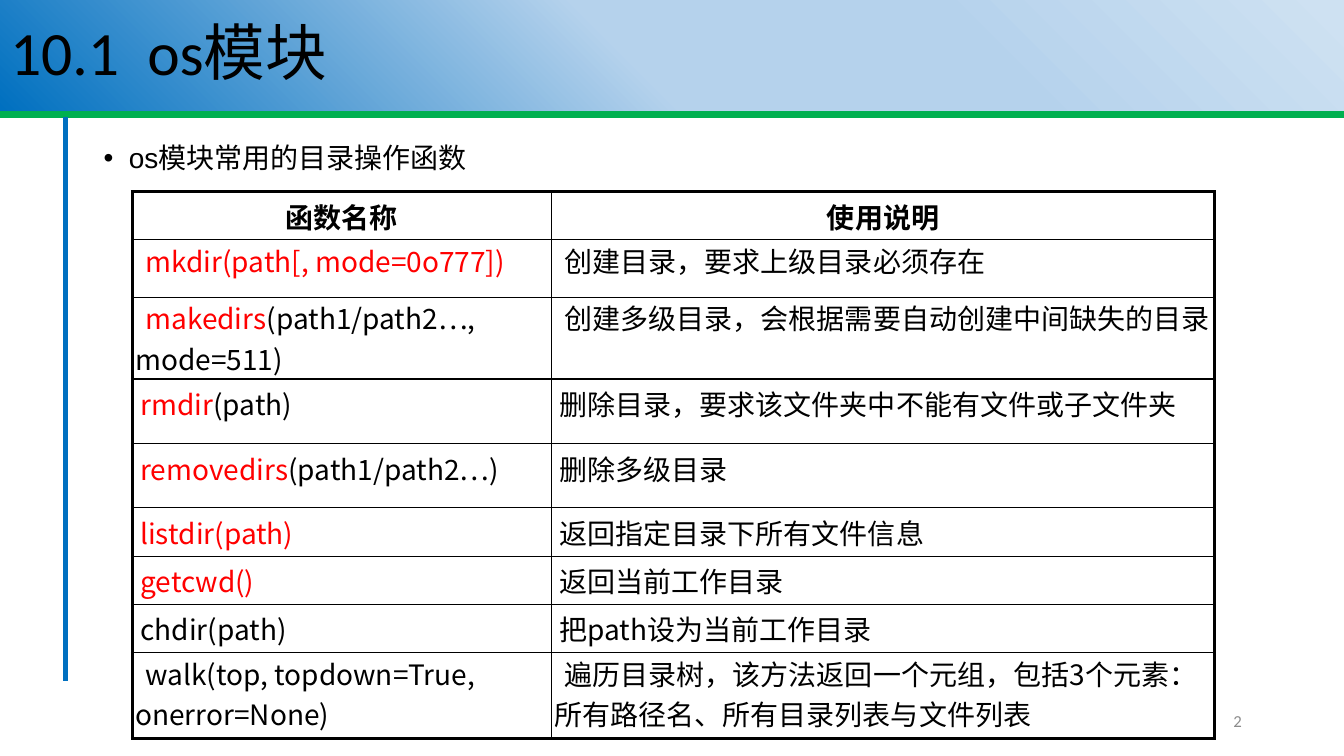
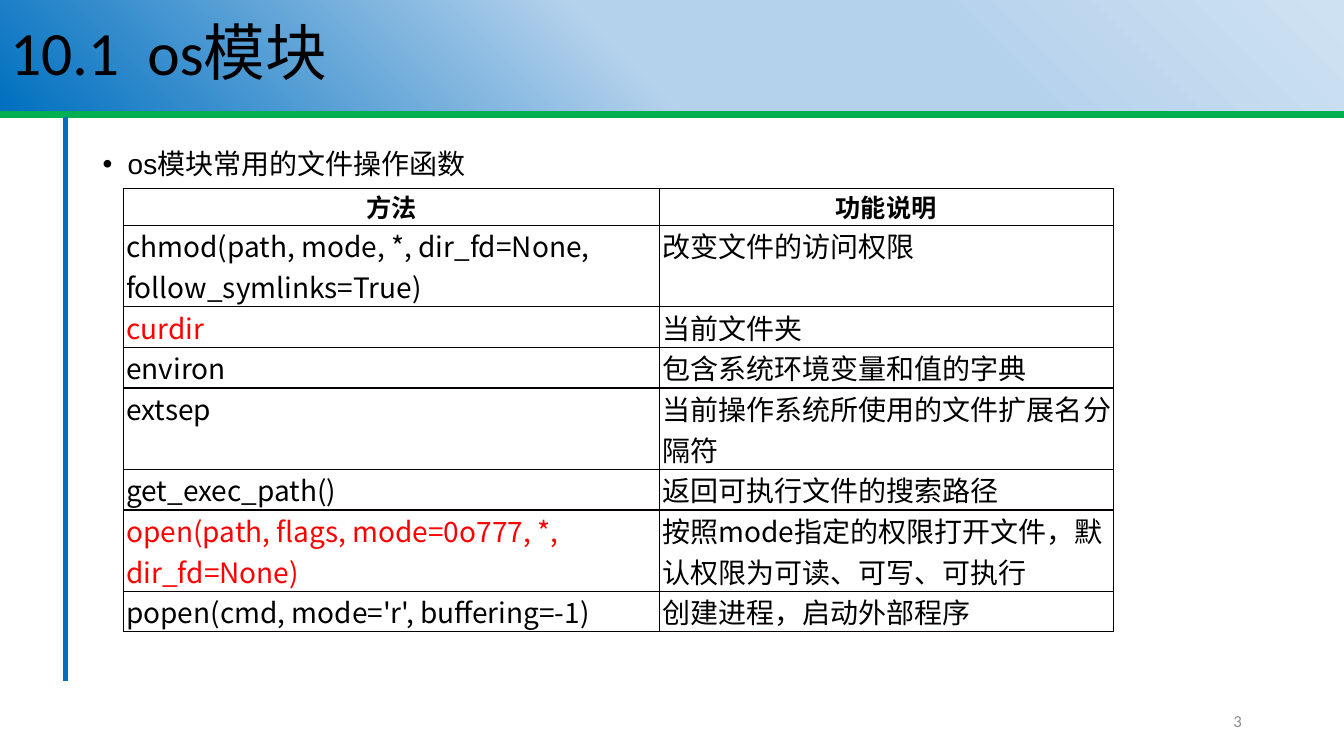
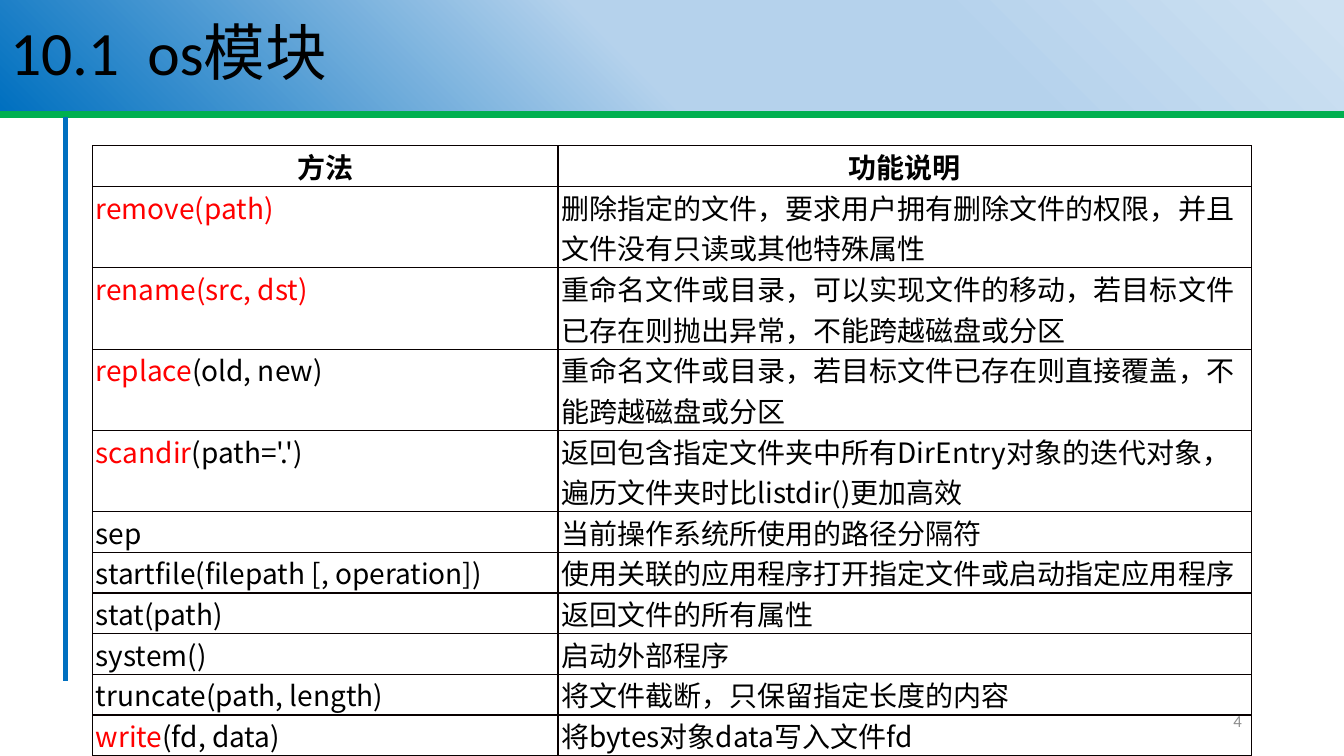
from lxml import etree
from pptx import Presentation
from pptx.dml.color import RGBColor
from pptx.enum.shapes import MSO_CONNECTOR
from pptx.enum.text import MSO_ANCHOR, MSO_AUTO_SIZE, PP_ALIGN
from pptx.oxml.ns import qn
from pptx.util import Pt

STRAIGHT = MSO_CONNECTOR.STRAIGHT
MIDDLE = MSO_ANCHOR.MIDDLE
NO_FIT = MSO_AUTO_SIZE.NONE
LEFT, CENTER, RIGHT = PP_ALIGN.LEFT, PP_ALIGN.CENTER, PP_ALIGN.RIGHT

BLACK = RGBColor(0x00, 0x00, 0x00)
INK = RGBColor(0x08, 0x00, 0x00)
RED = RGBColor(0xFF, 0x00, 0x00)
GREEN = RGBColor(0x00, 0xB0, 0x50)
BLUE = RGBColor(0x00, 0x70, 0xC0)
SKY = RGBColor(0xB5, 0xD2, 0xEC)
PALE = RGBColor(0xCE, 0xE1, 0xF2)
GREY = RGBColor(0x8C, 0x8C, 0x8C)
CJK = "Noto Sans CJK SC"

ONE_LINE = 29.05
TWO_LINES = 2 * ONE_LINE
ROOMY_LINE = 34.5

TITLE = "10.1\tos模块"
TITLE_STOPS = [(1, PALE), (29, SKY), (53, SKY), (100, BLUE)]
RULES = [((0, 82), (960, 82), GREEN, 5.25), ((46.8, 83.5), (46.8, 486.7), BLUE, 3.75)]

# Each row: red part, black part, description, height.
DIRECTORY_ROWS = [
    ("mkdir(path[, mode=0o777])", "", "创建目录，要求上级目录必须存在", 41),
    ("makedirs", "(path1/path2…, mode=511)", "创建多级目录，会根据需要自动创建中间缺失的目录", 58.5),
    ("rmdir", "(path)", "删除目录，要求该文件夹中不能有文件或子文件夹", 46),
    ("removedirs", "(path1/path2…)", "删除多级目录", 46),
    ("listdir(path)", "", "返回指定目录下所有文件信息", ROOMY_LINE),
    ("getcwd()", "", "返回当前工作目录", ROOMY_LINE),
    ("", "chdir(path)", "把path设为当前工作目录", ROOMY_LINE),
    ("", "walk(top, topdown=True, onerror=None)",
     "遍历目录树，该方法返回一个元组，包括3个元素：所有路径名、所有目录列表与文件列表", 61.5),
]
FILE_ROWS = [
    ("", "chmod(path, mode, *, dir_fd=None, follow_symlinks=True)", "改变文件的访问权限", TWO_LINES),
    ("curdir", "", "当前文件夹", ONE_LINE),
    ("", "environ", "包含系统环境变量和值的字典", ONE_LINE),
    ("", "extsep", "当前操作系统所使用的文件扩展名分隔符", TWO_LINES),
    ("", "get_exec_path()", "返回可执行文件的搜索路径", ONE_LINE),
    ("open(path, flags, mode=0o777, *, dir_fd=None)", "",
     "按照mode指定的权限打开文件，默认权限为可读、可写、可执行", TWO_LINES),
    ("", "popen(cmd, mode='r', buffering=-1)", "创建进程，启动外部程序", ONE_LINE),
]
MORE_FILE_ROWS = [
    ("remove(path)", "", "删除指定的文件，要求用户拥有删除文件的权限，并且文件没有只读或其他特殊属性", TWO_LINES),
    ("rename(src, dst)", "",
     "重命名文件或目录，可以实现文件的移动，若目标文件已存在则抛出异常，不能跨越磁盘或分区", TWO_LINES),
    ("replace", "(old, new)", "重命名文件或目录，若目标文件已存在则直接覆盖，不能跨越磁盘或分区", TWO_LINES),
    ("scandir", "(path='.')",
     "返回包含指定文件夹中所有DirEntry对象的迭代对象，遍历文件夹时比listdir()更加高效", TWO_LINES),
    ("", "sep", "当前操作系统所使用的路径分隔符", ONE_LINE),
    ("", "startfile(filepath [, operation])", "使用关联的应用程序打开指定文件或启动指定应用程序", ONE_LINE),
    ("", "stat(path)", "返回文件的所有属性", ONE_LINE),
    ("", "system()", "启动外部程序", ONE_LINE),
    ("", "truncate(path, length)", "将文件截断，只保留指定长度的内容", ONE_LINE),
    ("write", "(fd, data)", "将bytes对象data写入文件fd", ONE_LINE),
]

# edges: outer border widths, left, top, right, bottom; indented: rows with a first-line indent.
PAGES = [
    dict(bullet="os模块常用的目录操作函数", bullet_at=(67, 99.4), head=("函数名称", "使用说明"),
         head_size=20, head_height=ROOMY_LINE, rows=DIRECTORY_ROWS, at=(94.5, 136.8),
         columns=(299.4, 473.8), ink=BLACK, edges=(2.25, 2.25, 2.25, 2.25), roomy=True,
         indented=(1, 2, 8)),
    dict(bullet="os模块常用的文件操作函数", bullet_at=(66.2, 104), head=("方法", "功能说明"),
         head_size=18, head_height=26.4, rows=FILE_ROWS, at=(88, 134.6), columns=(383, 324),
         ink=INK, edges=(1, 1, 0.75, 1), roomy=False, indented=()),
    dict(bullet="", head=("方法", "功能说明"),
         head_size=20, head_height=ONE_LINE, rows=MORE_FILE_ROWS, at=(66.2, 104.2),
         columns=(332.4, 495.4), ink=INK, edges=(1, 1, 0.75, 1), roomy=False, indented=()),
]


def format_span(span, size, color, name=CJK, bold=False):
    span.font.size = Pt(size)
    span.font.bold = bold
    span.font.color.rgb = color
    span.font.name = name
    etree.SubElement(span.font._element, qn("a:ea"), typeface=CJK)


def add_borders(cell, widths, color):
    """Draw the left, right, top and bottom lines, in the order the format asks for."""
    properties = cell._tc.get_or_add_tcPr()
    for position, (side, width) in enumerate(zip(("lnL", "lnR", "lnT", "lnB"), widths)):
        line = etree.Element(qn(f"a:{side}"), w=str(Pt(width)))
        fill = etree.SubElement(line, qn("a:solidFill"))
        etree.SubElement(fill, qn("a:srgbClr"), val=str(color))
        properties.insert(position, line)


deck = Presentation()
deck.slide_width, deck.slide_height = Pt(960), Pt(540)

for number, page in enumerate(PAGES, start=2):
    slide = deck.slides.add_slide(deck.slide_layouts[5])
    shapes = slide.shapes

    for start, end, color, width in RULES:
        rule = shapes.add_connector(STRAIGHT, *map(Pt, start + end))
        rule.line.color.rgb = color
        rule.line.width = Pt(width)
        etree.SubElement(rule._element.spPr, qn("a:effectLst"))

    title = shapes.title
    title.left, title.top, title.width, title.height = Pt(0), Pt(0), Pt(960), Pt(79.2)
    title.fill.gradient()
    title.fill.gradient_angle = 225
    stops = title._element.spPr.find(qn("a:gradFill")).find(qn("a:gsLst"))
    stops.clear()
    for percent, color in TITLE_STOPS:
        stop = etree.SubElement(stops, qn("a:gs"), pos=str(percent * 1000))
        etree.SubElement(stop, qn("a:srgbClr"), val=str(color))
    title.text_frame.text = TITLE
    title.text_frame.auto_size = NO_FIT
    title.text_frame.vertical_anchor = MIDDLE
    para = title.text_frame.paragraphs[0]
    para.alignment = LEFT
    para.line_spacing = 0.9
    tabs = etree.SubElement(para._p.get_or_add_pPr(), qn("a:tabLst"))
    etree.SubElement(tabs, qn("a:tab"), pos=str(Pt(98)), algn="l")
    format_span(para.runs[0], 44, BLACK, "Calibri")

    box = shapes.add_textbox(Pt(678.2), Pt(500.4), Pt(216), Pt(28.8))
    box.text_frame.word_wrap = True
    box.text_frame.vertical_anchor = MIDDLE
    box.text_frame.text = str(number)
    para = box.text_frame.paragraphs[0]
    para.alignment = RIGHT
    format_span(para.runs[0], 12, GREY, "Calibri")

    if page["bullet"]:
        box = shapes.add_textbox(*map(Pt, page["bullet_at"]), Pt(828), Pt(30))
        box.text_frame.word_wrap = True
        box.text_frame.text = page["bullet"]
        para = box.text_frame.paragraphs[0]
        para.line_spacing = 0.9
        properties = para._p.get_or_add_pPr()
        properties.set("marL", str(Pt(18)))
        properties.set("indent", str(Pt(-18)))
        etree.SubElement(properties, qn("a:buFont"), typeface="Arial")
        etree.SubElement(properties, qn("a:buChar"), char="•")
        format_span(para.runs[0], 20, BLACK, "Arial")

    heights = [page["head_height"]] + [row[3] for row in page["rows"]]
    last = len(heights) - 1
    frame = shapes.add_table(len(heights), 2, *map(Pt, page["at"]),
                             Pt(sum(page["columns"])), Pt(sum(heights)))
    table = frame.table
    table.first_row = table.horz_banding = False
    for column, width in zip(table.columns, page["columns"]):
        column.width = Pt(width)
    for row, height in zip(table.rows, heights):
        row.height = Pt(height)

    contents = [[[(text, BLACK)] for text in page["head"]]]
    for red, black, description, _ in page["rows"]:
        contents.append([[(red, RED), (black, BLACK)], [(description, BLACK)]])
    edge_left, edge_top, edge_right, edge_bottom = page["edges"]

    for r, row in enumerate(contents):
        for c, parts in enumerate(row):
            cell = table.cell(r, c)
            cell.fill.background()
            indented = r in page["indented"]
            if page["roomy"] and not indented:
                margins = (5.76, 2.88, 5.76, 2.88)
            else:
                margins = (2.16 if r else 0, 0, 0, 0)
            cell.margin_left, cell.margin_top, cell.margin_right, cell.margin_bottom = map(Pt, margins)
            para = cell.text_frame.paragraphs[0]
            para.alignment = LEFT if r else CENTER
            if indented:
                para._p.get_or_add_pPr().set("indent", str(Pt(7.2)))
            for text, color in parts:
                if text:
                    span = para.add_run()
                    span.text = text
                    format_span(span, 20 if r else page["head_size"], color, bold=r == 0)
            add_borders(cell, (edge_left if c == 0 else 1, edge_right if c == 1 else 1,
                               edge_top if r == 0 else 1, edge_bottom if r == last else 1), page["ink"])

deck.save("out.pptx")
